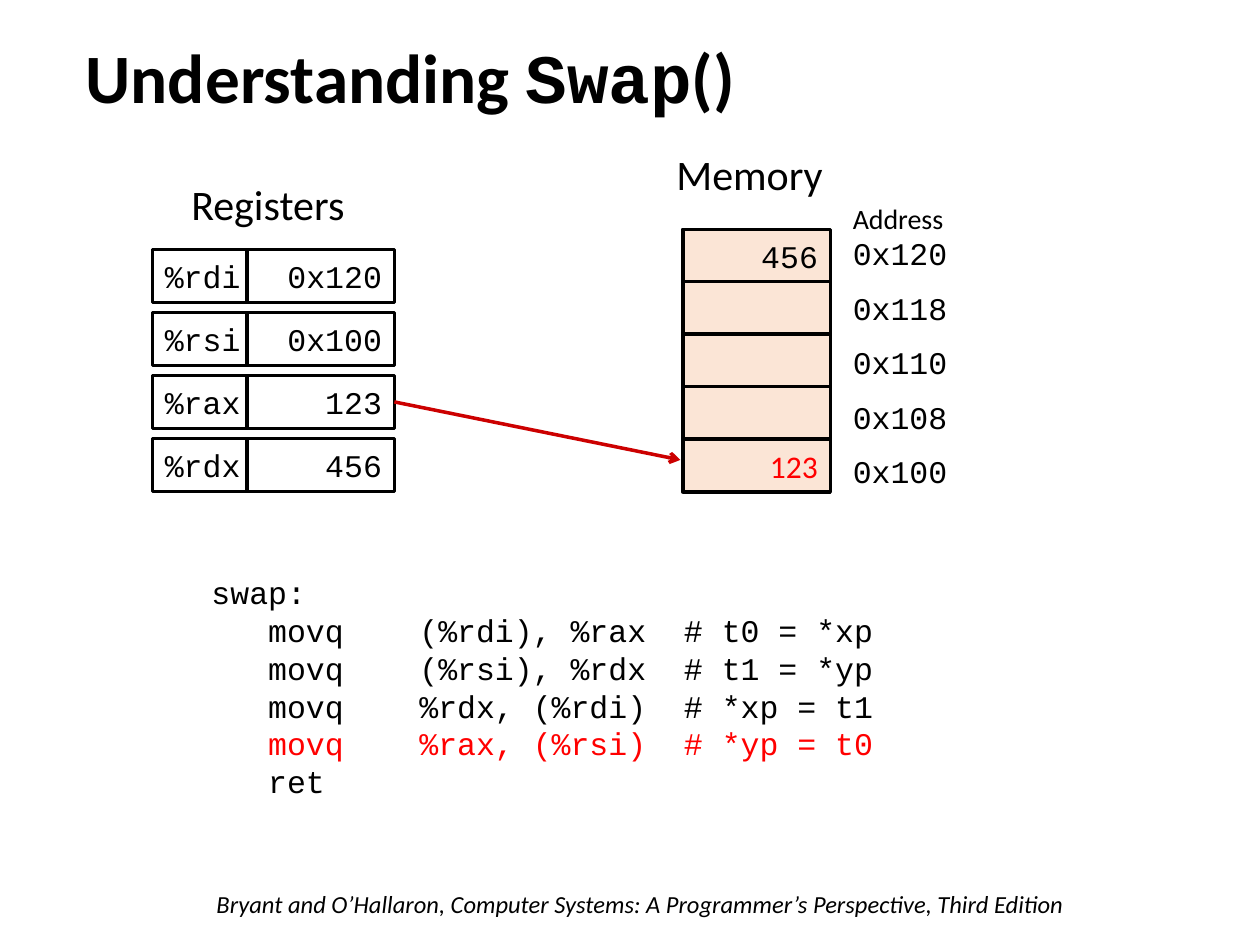
from lxml import etree
from pptx import Presentation
from pptx.dml.color import RGBColor
from pptx.enum.shapes import MSO_CONNECTOR, MSO_SHAPE
from pptx.enum.text import MSO_ANCHOR, MSO_AUTO_SIZE, PP_ALIGN
from pptx.oxml.ns import qn
from pptx.util import Inches, Pt

RECTANGLE = MSO_SHAPE.RECTANGLE
STRAIGHT = MSO_CONNECTOR.STRAIGHT
LEFT, RIGHT = PP_ALIGN.LEFT, PP_ALIGN.RIGHT
MIDDLE, TOP = MSO_ANCHOR.MIDDLE, MSO_ANCHOR.TOP
NO_AUTOFIT = MSO_AUTO_SIZE.NONE
SANS, MONO = "Calibri", "Courier New"
BLACK, WHITE, RED, ARROW_RED, PEACH = "000000", "FFFFFF", "FF0000", "CC0000", "FBE5D6"
CELL_HEIGHT, VALUE_WIDTH = 0.42, 1.17


def color(value):
    """Turn a hex string into a colour."""
    return RGBColor.from_string(value)


def add_span(para, text, size=18, name=MONO, fill=BLACK, **formats):
    """Add a formatted run to a paragraph."""
    span = para.add_run()
    span.text = text
    for key, value in {"size": Pt(size), "name": name, **formats}.items():
        setattr(span.font, key, value)
    span.font.color.rgb = color(fill)


def set_frame(frame, anchor=TOP, wrap=True):
    """Set the anchor and wrapping of a text frame."""
    settings = {"auto_size": NO_AUTOFIT, "vertical_anchor": anchor, "word_wrap": wrap}
    for key, value in settings.items():
        setattr(frame, key, value)


def add_text(page, box, text, wrap=True, **formats):
    """Add a text box with one paragraph."""
    frame = page.shapes.add_textbox(*map(Inches, box)).text_frame
    set_frame(frame, wrap=wrap)
    add_span(frame.paragraphs[0], text, **formats)


def add_cell(page, box, text="", back=WHITE, align=RIGHT, **formats):
    """Add an outlined cell with an optional value."""
    cell = page.shapes.add_shape(RECTANGLE, *map(Inches, box))
    cell.shadow.inherit = False
    cell.fill.solid()
    cell.fill.fore_color.rgb = color(back)
    cell.line.color.rgb = color(BLACK)
    cell.line.width = Pt(2)
    set_frame(cell.text_frame, MIDDLE, wrap=False)
    para = cell.text_frame.paragraphs[0]
    para.alignment = align
    if text:
        add_span(para, text, **formats)


def add_title(page, box):
    """Place the title and its mixed fonts."""
    title = page.shapes.title
    title.left, title.top, title.width, title.height = map(Inches, box)
    set_frame(title.text_frame, MIDDLE)
    para = title.text_frame.paragraphs[0]
    para.alignment = LEFT
    para.line_spacing = 0.9
    for text, name in (("Understanding ", SANS), ("Swap", MONO), ("()", SANS)):
        add_span(para, text, 39.6, name, bold=True)


def add_registers(page, left, top):
    """Draw the register heading and the name and value pairs."""
    name_width, step = 0.75, 0.5
    add_text(page, (left + 0.21, top - 0.61, 1.48, 0.5), "Registers",
             wrap=False, size=24, name=SANS)
    registers = {"%rdi": "0x120", "%rsi": "0x100", "%rax": "123", "%rdx": "456"}
    for row, (register, value) in enumerate(registers.items()):
        y = top + row * step
        add_cell(page, (left, y, name_width, CELL_HEIGHT), register, align=LEFT)
        add_cell(page, (left + name_width, y, VALUE_WIDTH, CELL_HEIGHT), value)


def add_memory(page, left, top):
    """Draw the memory column with its addresses."""
    cell_step, label_step, label_left = 0.416, 0.433, left + 1.25
    add_text(page, (left - 0.15, top - 0.69, 1.4, 0.5), "Memory",
             wrap=False, size=24, name=SANS)
    add_text(page, (label_left, top - 0.27, 1.33, 0.37), "Address", size=16, name=SANS)
    words = {"0x120": {"text": "456"}, "0x118": {}, "0x110": {}, "0x108": {},
             "0x100": {"text": "123", "name": SANS, "fill": RED}}
    for row, (address, value) in enumerate(words.items()):
        box = (left, top + row * cell_step, VALUE_WIDTH, CELL_HEIGHT)
        add_cell(page, box, back=PEACH, **value)
        add_text(page, (label_left, top - 0.01 + row * label_step, 1.33, 0.4), address)


def add_arrow(page, start, end):
    """Draw the arrow from a register to a memory word."""
    arrow = page.shapes.add_connector(STRAIGHT, *map(Inches, start + end))
    arrow.line.color.rgb = color(ARROW_RED)
    arrow.line.width = Pt(2)
    line = arrow.line._get_or_add_ln()
    etree.SubElement(line, qn("a:tailEnd"), type="arrow")
    etree.SubElement(arrow._element.spPr, qn("a:effectLst"))


def add_code(page, box):
    """Write the assembly listing on tab stops."""
    lines = (
        ("swap:", BLACK),
        ("\tmovq\t(%rdi), %rax\t# t0 = *xp", BLACK),
        ("\tmovq\t(%rsi), %rdx\t# t1 = *yp", BLACK),
        ("\tmovq\t%rdx, (%rdi)\t# *xp = t1", BLACK),
        ("\tmovq\t%rax, (%rsi)\t# *yp = t0", RED),
        ("\tret", BLACK),
    )
    frame = page.shapes.add_textbox(*map(Inches, box)).text_frame
    set_frame(frame)
    for row, (text, fill) in enumerate(lines):
        para = frame.add_paragraph() if row else frame.paragraphs[0]
        tabs = etree.SubElement(para._p.get_or_add_pPr(), qn("a:tabLst"))
        for stop in (0.45, 1.65, 3.75):
            etree.SubElement(tabs, qn("a:tab"), pos=str(Inches(stop)), algn="l")
        add_span(para, text, fill=fill)


def main():
    """Build and save the slide."""
    deck = Presentation()
    deck.slide_width, deck.slide_height = Inches(10), Inches(7.5)
    page = deck.slides.add_slide(deck.slide_layouts[5])
    add_title(page, (0.58, 0.33, 6.97, 0.63))
    add_registers(page, 1.21, 1.98)
    add_memory(page, 5.42, 1.82)
    add_arrow(page, (3.13, 3.19), (5.4, 3.65))
    add_code(page, (1.58, 4.5, 6.42, 1.92))
    add_text(page, (1.62, 7.01, 7.1, 0.34),
             "Bryant and O’Hallaron, Computer Systems: A Programmer’s Perspective, Third Edition",
             size=14, name=SANS, italic=True)
    deck.save("out.pptx")


main()
